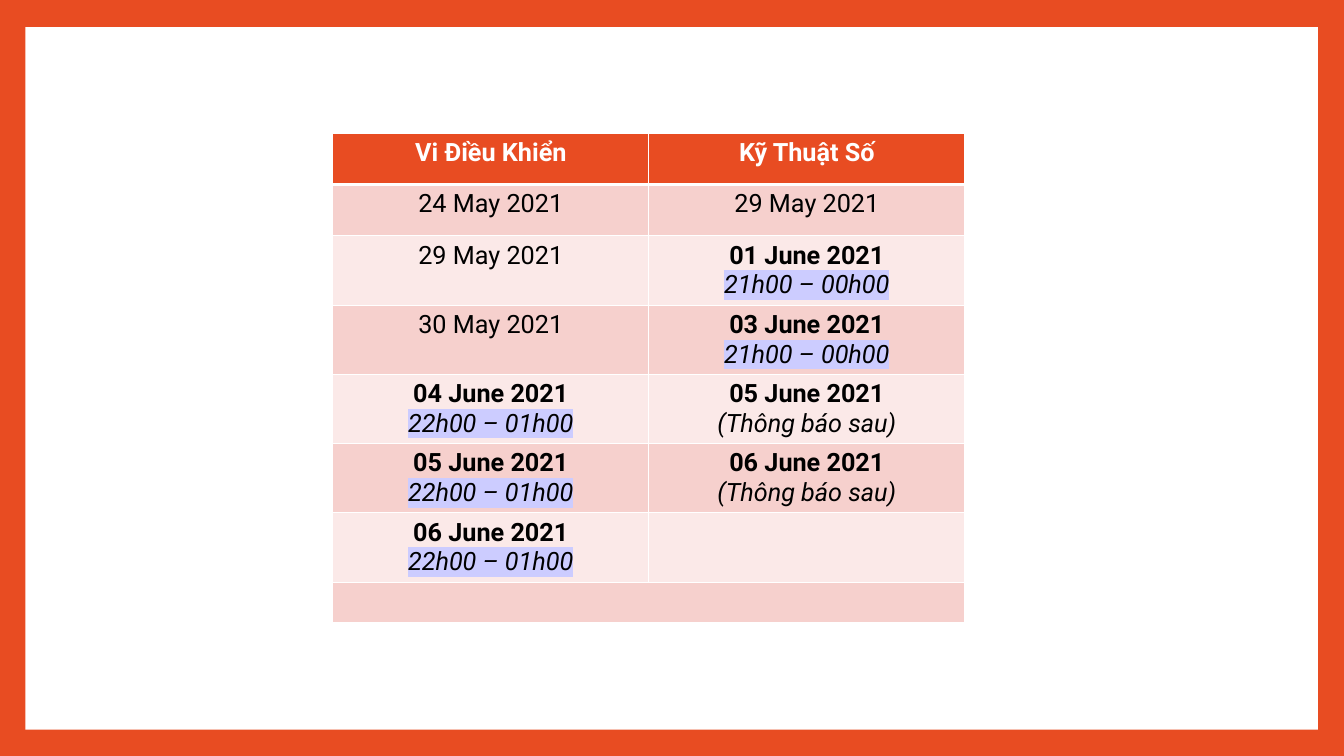
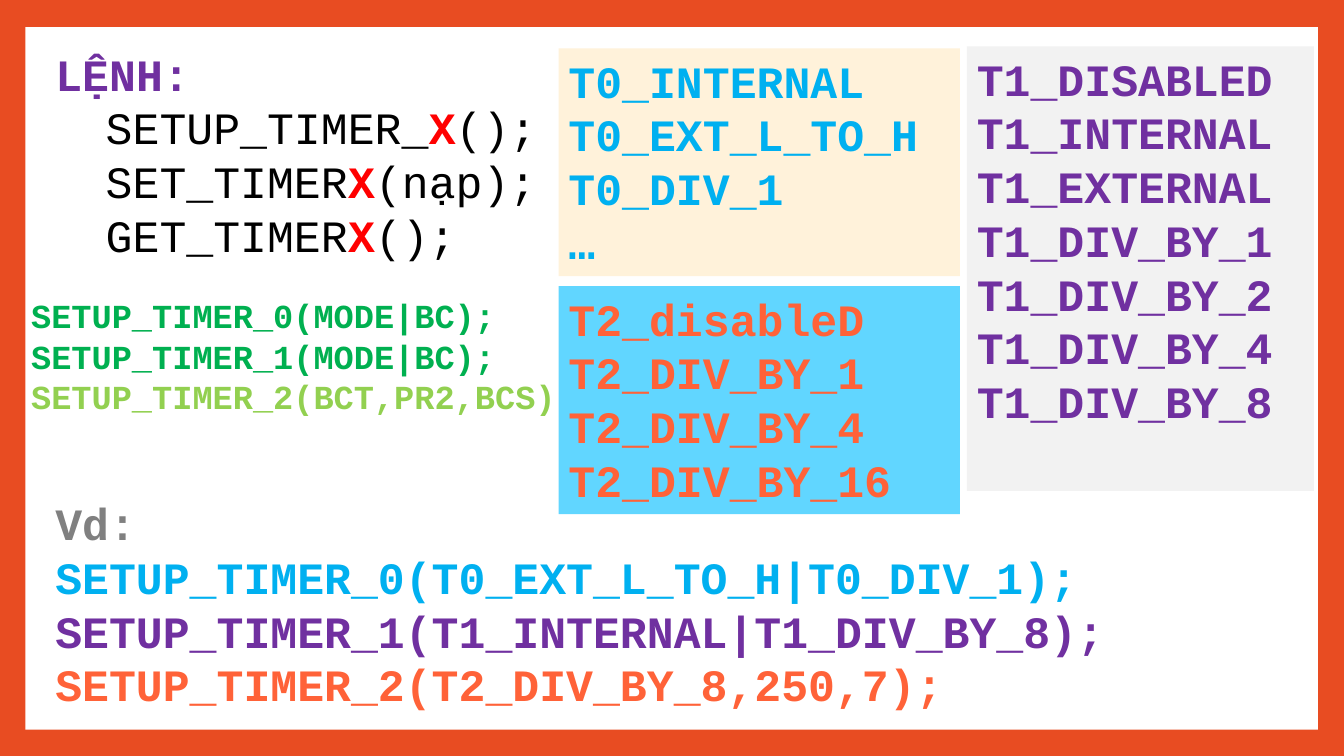
from lxml.etree import SubElement
from pptx import Presentation
from pptx.dml.color import RGBColor
from pptx.enum.shapes import MSO_SHAPE
from pptx.enum.text import MSO_ANCHOR, PP_ALIGN
from pptx.oxml import parse_xml
from pptx.oxml.ns import nsdecls, qn
from pptx.util import Inches, Pt

COLORS = {
    "frame": "E84C22", "white": "FFFFFF", "black": "000000",
    "band_dark": "F6D0CD", "band_light": "FBE9E8", "highlight": "CCCCFF",
    "cream": "FFF2DA", "sky": "61D6FF", "pale_gray": "F2F2F2",
    "timer0": "00B0F0", "timer1": "7030A0", "timer2": "FF6238",
    "green": "00B050", "lime": "92D050", "gray": "808080", "red": "FF0000",
}
WIDTH, HEIGHT = Inches(13.33), Inches(7.5)
TABLE_FONT, CODE_FONT = "Roboto", "Courier New"
PANEL_LEFT, PANEL_WIDTH, PANEL_HEIGHT = 41.56, 29.86, 30.13

EXAM_HEADERS = ["Vi Điều Khiển", "Kỹ Thuật Số"]
LATE, NIGHT, LATER = "22h00 – 01h00", "21h00 – 00h00", "(Thông báo sau)"
EXAM_ROWS = [
    [["24 May 2021"], ["29 May 2021"]],
    [["29 May 2021"], ["01 June 2021", NIGHT]],
    [["30 May 2021"], ["03 June 2021", NIGHT]],
    [["04 June 2021", LATE], ["05 June 2021", LATER]],
    [["05 June 2021", LATE], ["06 June 2021", LATER]],
    [["06 June 2021", LATE], []],
    [[], []],
]


def rgb(name):
    return RGBColor.from_string(COLORS[name])


def across(percent):
    return round(WIDTH * percent / 100)


def down(percent):
    return round(HEIGHT * percent / 100)


def place(x, y, w, h):
    return across(x), down(y), across(w), down(h)


def style(font, name, size, color, bold=False):
    font.name, font.size, font.bold = name, Pt(size), bold
    font.color.rgb = rgb(color)


def add_rect(s, box, fill):
    sp = s.shapes.add_shape(MSO_SHAPE.RECTANGLE, *place(*box))
    sp.shadow.inherit = False
    sp.fill.solid()
    sp.fill.fore_color.rgb = rgb(fill)
    sp.line.fill.background()
    return sp


def add_frame(prs, s):
    master = prs.slide_master
    master.background.fill.solid()
    master.background.fill.fore_color.rgb = rgb("frame")
    sp = add_rect(s, (1.88, 3.6, 96.17, 92.93), "white")
    master.element.cSld.spTree.insert(2, sp.element)


def add_paragraph(tf, first):
    return tf.paragraphs[0] if first else tf.add_paragraph()


def add_code(s, box, lines, color, size=32, fill=None):
    sp = add_rect(s, box, fill) if fill else s.shapes.add_textbox(*place(*box))
    tf = sp.text_frame
    tf.word_wrap = True
    tf.vertical_anchor = MSO_ANCHOR.TOP
    for i, line in enumerate(lines):
        text, line_color = line if isinstance(line, tuple) else (line, color)
        p = add_paragraph(tf, i == 0)
        p.alignment = PP_ALIGN.LEFT
        style(p.font, CODE_FONT, size, line_color, True)
        p.add_run().text = text
    return tf


def add_command(tf, name, arguments):
    p = tf.add_paragraph()
    p.level = 1
    p.alignment = PP_ALIGN.LEFT
    p.font.name, p.font.size = CODE_FONT, Pt(32)
    for text, color in ((name, "black"), ("X", "red"), (arguments, "black")):
        r = p.add_run()
        r.text = text
        r.font.bold = color == "red"
        r.font.color.rgb = rgb(color)


def set_borders(cell, top=1, bottom=1):
    tcPr = cell._tc.get_or_add_tcPr()
    widths = {"lnL": 1, "lnR": 1, "lnT": top, "lnB": bottom}
    for i, (side, width) in enumerate(widths.items()):
        tcPr.insert(i, parse_xml(
            f'<a:{side} {nsdecls("a")} w="{Pt(width)}"><a:solidFill>'
            f'<a:srgbClr val="{COLORS["white"]}"/></a:solidFill></a:{side}>'))


def highlight(r):
    mark = SubElement(r._r.get_or_add_rPr(), qn("a:highlight"))
    SubElement(mark, qn("a:srgbClr"), val=COLORS["highlight"])


def fill_cell(cell, lines, fill, header=False):
    cell.fill.solid()
    cell.fill.fore_color.rgb = rgb(fill)
    for i, text in enumerate(lines):
        p = add_paragraph(cell.text_frame, i == 0)
        p.alignment = PP_ALIGN.CENTER
        is_date = i == 0
        style(p.font, TABLE_FONT, 18, "white" if header else "black",
              header or (is_date and len(lines) > 1))
        p.font.italic = not is_date
        r = p.add_run()
        r.text = text
        if not is_date and text != LATER:
            highlight(r)


def add_exam_table(s):
    rows = [[[name] for name in EXAM_HEADERS]] + EXAM_ROWS
    heights = [6.8] * (len(rows) - 1) + [5.2]
    table = s.shapes.add_table(len(rows), len(EXAM_HEADERS),
                               *place(24.76, 17.6, 47.04, sum(heights))).table
    table.horz_banding = False
    for column in table.columns:
        column.width = across(23.52)
    for i, (cells, height) in enumerate(zip(rows, heights)):
        table.rows[i].height = down(height)
        fill = "frame" if i == 0 else ("band_light", "band_dark")[i % 2]
        for j, lines in enumerate(cells):
            cell = table.cell(i, j)
            fill_cell(cell, lines, fill, i == 0)
            set_borders(cell, top=3 if i == 1 else 1, bottom=3 if i == 0 else 1)
    last = len(rows) - 1
    table.cell(last, 0).merge(table.cell(last, 1))


def add_timer_slide(s):
    divisors = [f"T1_DIV_BY_{n}" for n in (1, 2, 4, 8)]
    add_code(s, (71.94, 6.13, 25.81, 58.8),
             ["T1_DISABLED", "T1_INTERNAL", "T1_EXTERNAL", *divisors],
             "timer1", fill="pale_gray")
    tf = add_code(s, (3.38, 5.47, 37.73, PANEL_HEIGHT), ["LỆNH:"], "timer1")
    for name, arguments in (("SETUP_TIMER_", "();"), ("SET_TIMER", "(nạp);"),
                            ("GET_TIMER", "();")):
        add_command(tf, name, arguments)
    add_code(s, (PANEL_LEFT, 6.4, PANEL_WIDTH, PANEL_HEIGHT),
             ["T0_INTERNAL", "T0_EXT_L_TO_H", "T0_DIV_1", "…"],
             "timer0", fill="cream")
    add_code(s, (PANEL_LEFT, 37.87, PANEL_WIDTH, PANEL_HEIGHT),
             ["T2_disableD", "T2_DIV_BY_1", "T2_DIV_BY_4", "T2_DIV_BY_16"],
             "timer2", fill="sky")
    add_code(s, (3.38, 64.93, 80.5, PANEL_HEIGHT),
             ["Vd:",
              ("SETUP_TIMER_0(T0_EXT_L_TO_H|T0_DIV_1);", "timer0"),
              ("SETUP_TIMER_1(T1_INTERNAL|T1_DIV_BY_8);", "timer1"),
              ("SETUP_TIMER_2(T2_DIV_BY_8,250,7);", "timer2")], "gray")
    add_code(s, (1.58, 38.4, 40.81, 17.47),
             ["SETUP_TIMER_0(MODE|BC);", "SETUP_TIMER_1(MODE|BC);",
              ("SETUP_TIMER_2(BCT,PR2,BCS)", "lime")], "green", size=24)


def main():
    prs = Presentation()
    prs.slide_width, prs.slide_height = WIDTH, HEIGHT
    blank = prs.slide_layouts[6]
    exam_slide = prs.slides.add_slide(blank)
    add_frame(prs, exam_slide)
    add_exam_table(exam_slide)
    add_timer_slide(prs.slides.add_slide(blank))
    prs.save("out.pptx")


if __name__ == "__main__":
    main()
